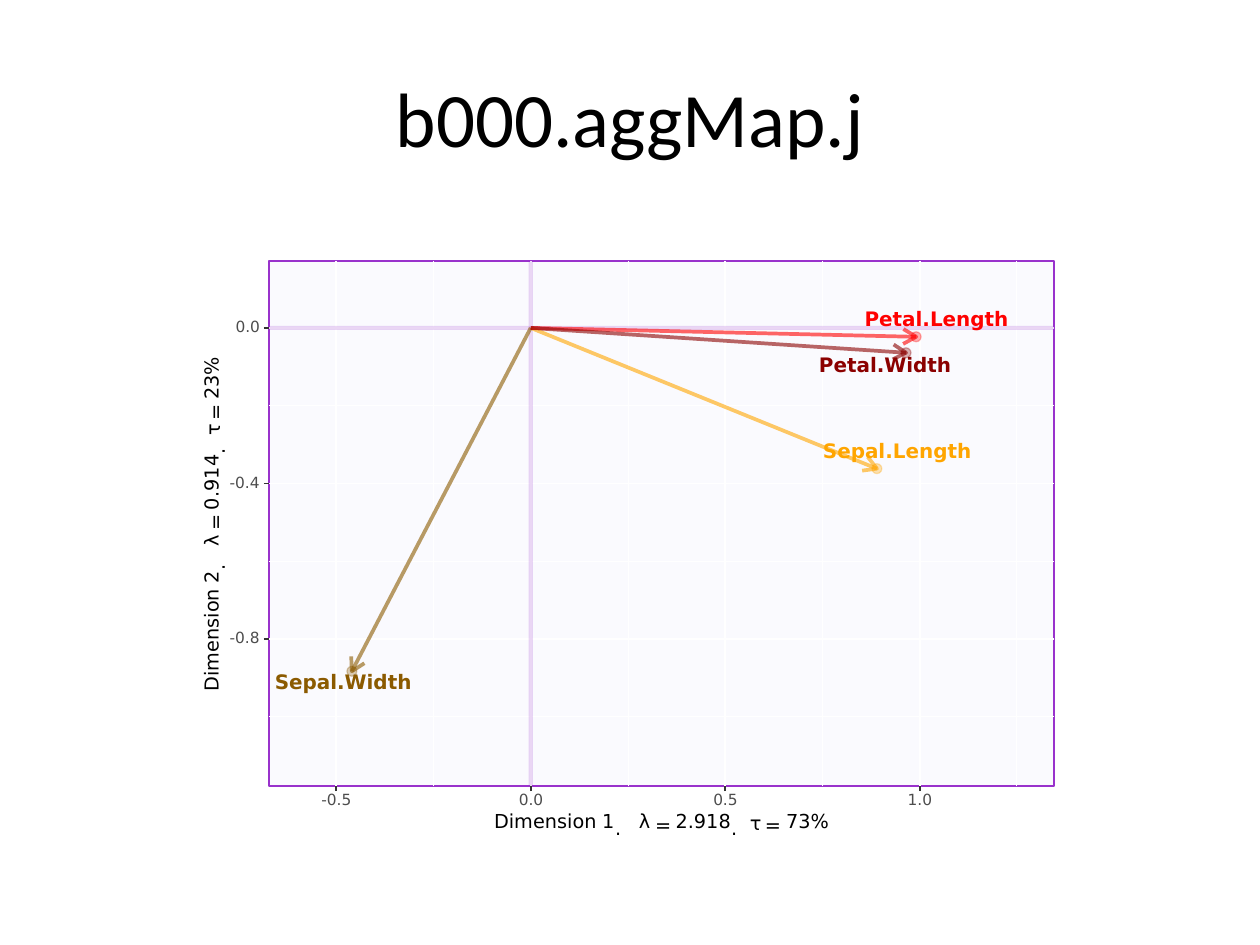
import math

import pptx
import pptx.dml.color
import pptx.enum.shapes
import pptx.enum.text
import pptx.oxml.ns
import pptx.oxml.xmlchemy
import pptx.util
from pptx.util import Cm

COLORS = {
    "white": "FFFFFF", "black": "000000", "panel": "E6E6FA", "axis": "9932CC",
    "tick": "333333", "tick_label": "4D4D4D", "orange": "FFA500",
    "brown": "8B5A00", "red": "FF0000", "dark_red": "8B0000",
}
PLOT_FONT = "DejaVu Sans"

# Plot area and data scale, in centimetres
LEFT, TOP, WIDTH, HEIGHT = 5.42, 5.26, 15.83, 10.59
RIGHT, BOTTOM = LEFT + WIDTH, TOP + HEIGHT
ORIGIN_X, ORIGIN_Y, UNIT = 10.7, 6.61, 7.84
TICK = 0.1
X_TICKS, Y_TICKS = (-0.5, 0.0, 0.5, 1.0), (-0.8, -0.4, 0.0)
X_MINOR, Y_MINOR = (-0.25, 0.25, 0.75, 1.25), (-1.0, -0.6, -0.2)

# Name, colour, tip in percent of a unit, label box
VARIABLES = [
    ("Sepal.Length", "orange", (89, -36.2), (16.59, 8.94, 3.04, 0.38)),
    ("Sepal.Width", "brown", (-46, -88.3), (5.54, 13.59, 2.8, 0.38)),
    ("Petal.Length", "red", (99.1, -2.3), (17.43, 6.28, 2.96, 0.38)),
    ("Petal.Width", "dark_red", (96.5, -6.4), (16.51, 7.24, 2.7, 0.3)),
]

# Start along the axis, width, height and drop of each part of an axis title
TITLE_PARTS = [
    (0, 2.2, 0.3, 0), (2.18, 0.25, 0.28, 0), (2.44, 0.25, 0.05, 0.13),
    (2.92, 0.23, 0.3, 0), (3.25, 0.33, 0.1, 0.08), (3.66, 1.14, 0.3, 0),
    (4.78, 0.13, 0.05, 0.13), (5.16, 0.23, 0.2, 0.03),
    (5.46, 0.33, 0.1, 0.08), (5.89, 0.52, 0.3, 0), (6.38, 0.4, 0.3, 0),
]


def rgb(name):
    return pptx.dml.color.RGBColor.from_string(COLORS[name])


def x_at(value):
    return ORIGIN_X + value * UNIT


def y_at(value):
    return ORIGIN_Y - value * UNIT


def fade(element, percent):
    for color in element.iter(pptx.oxml.ns.qn("a:srgbClr")):
        alpha = pptx.oxml.xmlchemy.OxmlElement("a:alpha")
        alpha.set("val", str(percent * 1000))
        color.append(alpha)


def set_line(shape, color, points, opacity=100):
    shape.line.color.rgb = rgb(color)
    shape.line.width = pptx.util.Pt(points)
    if opacity < 100:
        fade(shape.line._get_or_add_ln(), opacity)


def add_area(shapes, kind, place, fill, line, points, fill_opacity=100, line_opacity=100):
    area = shapes.add_shape(kind, *map(Cm, place))
    area.shadow.inherit = False
    area.fill.solid()
    area.fill.fore_color.rgb = rgb(fill)
    if fill_opacity < 100:
        fade(area.element.spPr, fill_opacity)
    set_line(area, line, points, line_opacity)


def add_line(shapes, start, end, color, points, opacity=100):
    line = shapes.add_connector(
        pptx.enum.shapes.MSO_CONNECTOR.STRAIGHT, *map(Cm, (*start, *end)))
    set_line(line, color, points, opacity)
    line.element.spPr.append(pptx.oxml.xmlchemy.OxmlElement("a:effectLst"))


def add_text(shapes, text, place, size, color, bold=False, turn=0):
    box = shapes.add_textbox(*map(Cm, place))
    box.rotation = turn
    frame = box.text_frame
    frame.margin_left = frame.margin_right = frame.margin_top = frame.margin_bottom = 0
    frame.word_wrap = False
    frame.vertical_anchor = pptx.enum.text.MSO_ANCHOR.MIDDLE
    para = frame.paragraphs[0]
    para.text = text
    para.line_spacing = pptx.util.Pt(size)
    para.font.name = PLOT_FONT
    para.font.size = pptx.util.Pt(size)
    para.font.bold = bold
    para.font.color.rgb = rgb(color)


def add_title(page, text):
    box = page.shapes.add_textbox(Cm(1.27), Cm(0.76), Cm(22.86), Cm(3.18))
    box.text_frame.word_wrap = True
    box.text_frame.vertical_anchor = pptx.enum.text.MSO_ANCHOR.MIDDLE
    para = box.text_frame.paragraphs[0]
    para.text = text
    para.alignment = pptx.enum.text.PP_ALIGN.CENTER
    para.font.name = "Calibri"
    para.font.size = pptx.util.Pt(44)
    para.font.color.rgb = rgb("black")


def add_grid(shapes, x_values, y_values, color, points, opacity=100):
    for y in map(y_at, y_values):
        add_line(shapes, (LEFT, y), (RIGHT, y), color, points, opacity)
    for x in map(x_at, x_values):
        add_line(shapes, (x, BOTTOM), (x, TOP), color, points, opacity)


def add_arrow(shapes, tip, color):
    add_line(shapes, (ORIGIN_X, ORIGIN_Y), tip, color, 2.13, 60)
    # Open head: two barbs at 30 degrees to the shaft
    back = math.atan2(ORIGIN_Y - tip[1], ORIGIN_X - tip[0])
    barbs = [(tip[0] + 0.3 * math.cos(back + side), tip[1] + 0.3 * math.sin(back + side))
             for side in (-math.pi / 6, math.pi / 6)]
    first, *others = [tuple(map(Cm, point)) for point in (barbs[0], tip, barbs[1])]
    builder = shapes.build_freeform(*first)
    builder.add_line_segments(others, close=False)
    head = builder.convert_to_shape()
    head.shadow.inherit = False
    head.fill.background()
    set_line(head, color, 2.13, 60)


def add_ticks(shapes):
    height = 0.23
    for value in Y_TICKS:
        y, width = y_at(value), 0.64 if value < 0 else 0.52
        add_text(shapes, f"{value:.1f}", (5.27 - width, y - height / 2, width, height),
                 8.8, "tick_label")
        add_line(shapes, (LEFT - TICK, y), (LEFT, y), "tick", 1.07)
    for value in X_TICKS:
        x, width = x_at(value), 0.64 if value < 0 else 0.52
        add_line(shapes, (x, BOTTOM + TICK), (x, BOTTOM), "tick", 1.07)
        add_text(shapes, f"{value:.1f}", (x - width / 2 + 0.02, 16.03, width, height),
                 8.8, "tick_label")


def add_axis_title(shapes, number, eigenvalue, share, start, upright=False):
    words = ["Dimension ", number, ". ", "λ", "=", eigenvalue, ".", "τ", "=", share, "%"]
    for word, (along, width, height, drop) in zip(words, TITLE_PARTS):
        middle = along + width / 2
        if upright:
            x, y = start[0] + drop, start[1] - middle
        else:
            x, y = start[0] + middle, start[1] + drop
        add_text(shapes, word, (x - width / 2, y - height / 2, width, height),
                 11, "black", turn=270 if upright else 0)


def main():
    deck = pptx.Presentation()
    deck.slide_width, deck.slide_height = Cm(25.4), Cm(19.05)
    page = deck.slides.add_slide(deck.slide_layouts[6])
    add_title(page, "b000.aggMap.j")
    shapes = page.shapes.add_group_shape().shapes
    kinds = pptx.enum.shapes.MSO_SHAPE

    # Backgrounds and panel
    add_area(shapes, kinds.RECTANGLE, (1.27, 4.45, 22.86, 12.57), "white", "white", 0.75)
    add_area(shapes, kinds.RECTANGLE, (3.96, 4.45, 17.48, 12.57), "white", "white", 1.07)
    add_area(shapes, kinds.RECTANGLE, (LEFT, TOP, WIDTH, HEIGHT), "panel", "axis", 1.07, 20)

    # Grid and zero lines
    add_grid(shapes, X_MINOR, Y_MINOR, "white", 0.53)
    add_grid(shapes, X_TICKS, Y_TICKS, "white", 1.07)
    add_grid(shapes, [0], [0], "axis", 2.35, 20)

    # Variables: dots, labels, arrows
    tips = [(x_at(x / 100), y_at(y / 100)) for _, _, (x, y), _ in VARIABLES]
    for (_, color, _, _), (x, y) in zip(VARIABLES, tips):
        add_area(shapes, kinds.OVAL, (x - 0.1, y - 0.1, 0.2, 0.2), color, color, 0.71, 30, 30)
    for name, color, _, place in VARIABLES:
        add_text(shapes, name, place, 11.4, color, bold=True)
    for (_, color, _, _), tip in zip(VARIABLES, tips):
        add_arrow(shapes, tip, color)

    # Axes
    add_ticks(shapes)
    add_axis_title(shapes, "1", "2.918", "73", (9.96, 16.59))
    add_axis_title(shapes, "2", "0.914", "23", (4.29, 13.94), upright=True)
    deck.save("out.pptx")


main()
